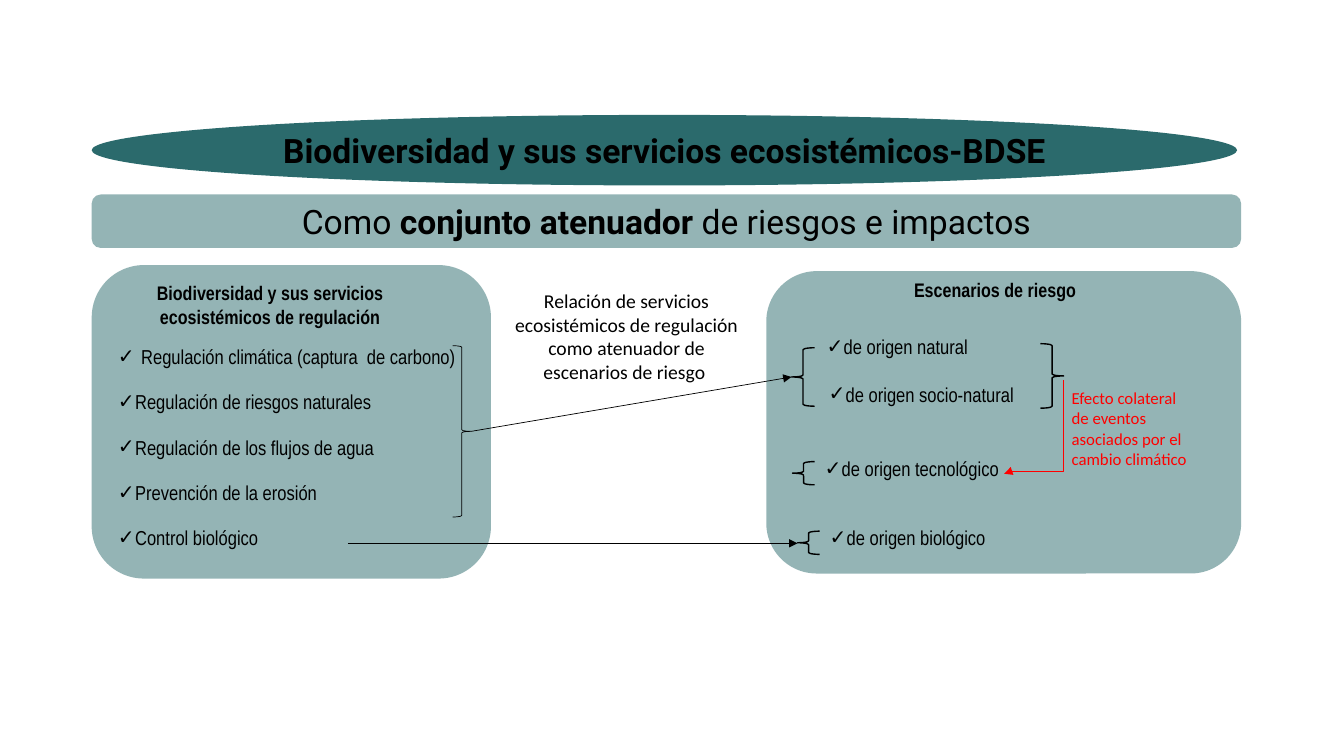
from lxml import etree
from pptx import Presentation
from pptx import util as u
from pptx.dml.color import RGBColor
from pptx.enum import shapes, text
from pptx.oxml import ns

HUES = {"teal": "2B6A6C", "black": "000000", "red": "FF0000"}
KIND = shapes.MSO_SHAPE
LINK = shapes.MSO_CONNECTOR
MID = text.PP_ALIGN.CENTER
LEFT = text.PP_ALIGN.LEFT


def write(para, runs, size, font, hue="black", align=LEFT, mark=None):
    """Fill a paragraph with (words, bold) runs; mark is the check's indent in inches."""
    para.alignment = align
    if mark:
        props = para._p.get_or_add_pPr()
        props.set("marL", str(u.Inches(mark)))
        props.set("indent", str(-u.Inches(mark)))
        etree.SubElement(props, ns.qn("a:buFont")).set("typeface", "Arial")
        etree.SubElement(props, ns.qn("a:buChar")).set("char", "✓")
    for words, bold in runs:
        run = para.add_run()
        run.text = words
        run.font.size = u.Pt(size)
        run.font.name = font
        run.font.bold = bold
        run.font.color.rgb = RGBColor.from_string(HUES[hue])


def place(shape, spot):
    shape.left, shape.top, shape.width, shape.height = map(u.Inches, spot)


deck = Presentation()
deck.slide_width, deck.slide_height = u.Inches(13.33), u.Inches(7.5)
slide = deck.slides.add_slide(deck.slide_layouts[1])
title, body = slide.placeholders
tree = title._element.getparent()

# Title oval, half-clear panels and the subtitle bar
crown = (0.91, 1.14, 11.36, 0.7)
panels = []
for kind, spot in [
    (KIND.OVAL, crown),
    (KIND.ROUNDED_RECTANGLE, (7.6, 2.69, 4.71, 3)),
    (KIND.ROUNDED_RECTANGLE, (0.91, 2.63, 3.96, 3.11)),
    (KIND.ROUNDED_RECTANGLE, (0.91, 1.93, 11.4, 0.53)),
]:
    panel = slide.shapes.add_shape(kind, *map(u.Inches, spot))
    panel.shadow.inherit = False
    panel.fill.solid()
    panel.fill.fore_color.rgb = RGBColor.from_string(HUES["teal"])
    if kind != KIND.OVAL:
        tint = panel._element.spPr.find(".//" + ns.qn("a:srgbClr"))
        etree.SubElement(tint, ns.qn("a:alpha")).set("val", "50000")
    panel.line.fill.background()
    panels.append(panel)
bar = panels[-1].text_frame
bar.vertical_anchor = text.MSO_ANCHOR.MIDDLE
write(bar.paragraphs[0],
      [("Como ", False), ("conjunto atenuador ", True), ("de riesgos e impactos", False)],
      24, "Roboto", align=MID)

# Title on the oval
tree.append(title._element)
place(title, crown)
title.text_frame.auto_size = text.MSO_AUTO_SIZE.NONE
title.text_frame.vertical_anchor = text.MSO_ANCHOR.MIDDLE
write(title.text_frame.paragraphs[0],
      [("Biodiversidad y sus servicios ecosistémicos-BDSE", True)], 24, "Roboto", align=MID)

# Services list
tree.append(body._element)
place(body, (1.07, 3.37, 5.1, 2.13))
frame = body.text_frame
frame.auto_size = text.MSO_AUTO_SIZE.NONE
services = ["Regulación climática (captura  de carbono)", "Regulación de riesgos naturales",
            "Regulación de los flujos de agua", "Prevención de la erosión", "Control biológico"]
for i, words in enumerate(services):
    para = frame.add_paragraph() if i else frame.paragraphs[0]
    para.space_before = u.Pt(14.9 if i else 0)
    write(para, [(words, False)], 14.4, "Arial Narrow", mark=0.17 if i else 0.23)

# Labels: spot, words, size, font, bold, hue, align, mark
notes = [
    ((7.34, 2.71, 5.06, 0.34), "Escenarios de riesgo",
     14, "Arial Narrow", True, "black", MID, None),
    ((0.91, 2.74, 3.54, 0.57), "Biodiversidad y sus servicios ecosistémicos de regulación",
     14, "Arial Narrow", True, "black", MID, None),
    ((10.53, 3.8, 1.42, 0.91), "Efecto colateral de eventos asociados por el cambio climático",
     12, "Calibri", False, "red", LEFT, None),
    ((4.91, 2.82, 2.61, 1.04),
     "Relación de servicios ecosistémicos de regulación como atenuador de escenarios de riesgo ",
     14, "Calibri", False, "black", MID, None),
]
risks = [(8.1, 3.27, "natural"), (8.12, 3.74, "socio-natural"),
         (8.08, 4.48, "tecnológico"), (8.13, 5.16, "biológico")]
for x, y, risk in risks:
    notes.append(((x, y, 3.8, 0.34), "de origen " + risk,
                  14.4, "Arial Narrow", False, "black", LEFT, 0.17))
for spot, words, size, font, bold, hue, align, mark in notes:
    box = slide.shapes.add_textbox(*map(u.Inches, spot))
    box.text_frame.word_wrap = True
    box.text_frame.auto_size = text.MSO_AUTO_SIZE.SHAPE_TO_FIT_TEXT
    write(box.text_frame.paragraphs[0], [(words, bold)], size, font, hue, align, mark)

# Braces
for kind, spot, weight in [
    (KIND.LEFT_BRACE, (7.85, 3.45, 0.23, 0.58), 1),
    (KIND.LEFT_BRACE, (7.86, 4.58, 0.22, 0.23), 1),
    (KIND.LEFT_BRACE, (7.91, 5.27, 0.22, 0.23), 1),
    (KIND.RIGHT_BRACE, (10.32, 3.41, 0.23, 0.64), 1),
    (KIND.RIGHT_BRACE, (4.49, 3.43, 0.18, 1.7), 0.5),
]:
    brace = slide.shapes.add_shape(kind, *map(u.Inches, spot))
    brace.shadow.inherit = False
    brace.fill.background()
    brace.line.color.rgb = RGBColor.from_string(HUES["black"])
    brace.line.width = u.Pt(weight)

# Arrows; the bent one is turned a quarter
for kind, ends, hue, weight in [
    (LINK.STRAIGHT, (4.67, 4.28, 7.85, 3.74), "black", 0.5),
    (LINK.STRAIGHT, (3.45, 5.39, 7.91, 5.39), "black", 0.5),
    (LINK.ELBOW, (9.79, 3.94, 10.72, 4.53), "red", 1),
]:
    arrow = slide.shapes.add_connector(kind, *map(u.Inches, ends))
    arrow.line.color.rgb = RGBColor.from_string(HUES[hue])
    arrow.line.width = u.Pt(weight)
    props = arrow._element.spPr
    etree.SubElement(props.find(ns.qn("a:ln")), ns.qn("a:tailEnd")).set("type", "triangle")
    etree.SubElement(props, ns.qn("a:effectLst"))
    if kind == LINK.ELBOW:
        props.find(ns.qn("a:xfrm")).set("rot", "5400000")
        bend = props.find(".//" + ns.qn("a:avLst"))
        etree.SubElement(bend, ns.qn("a:gd"), name="adj1", fmla="val 97700")

deck.save("out.pptx")
